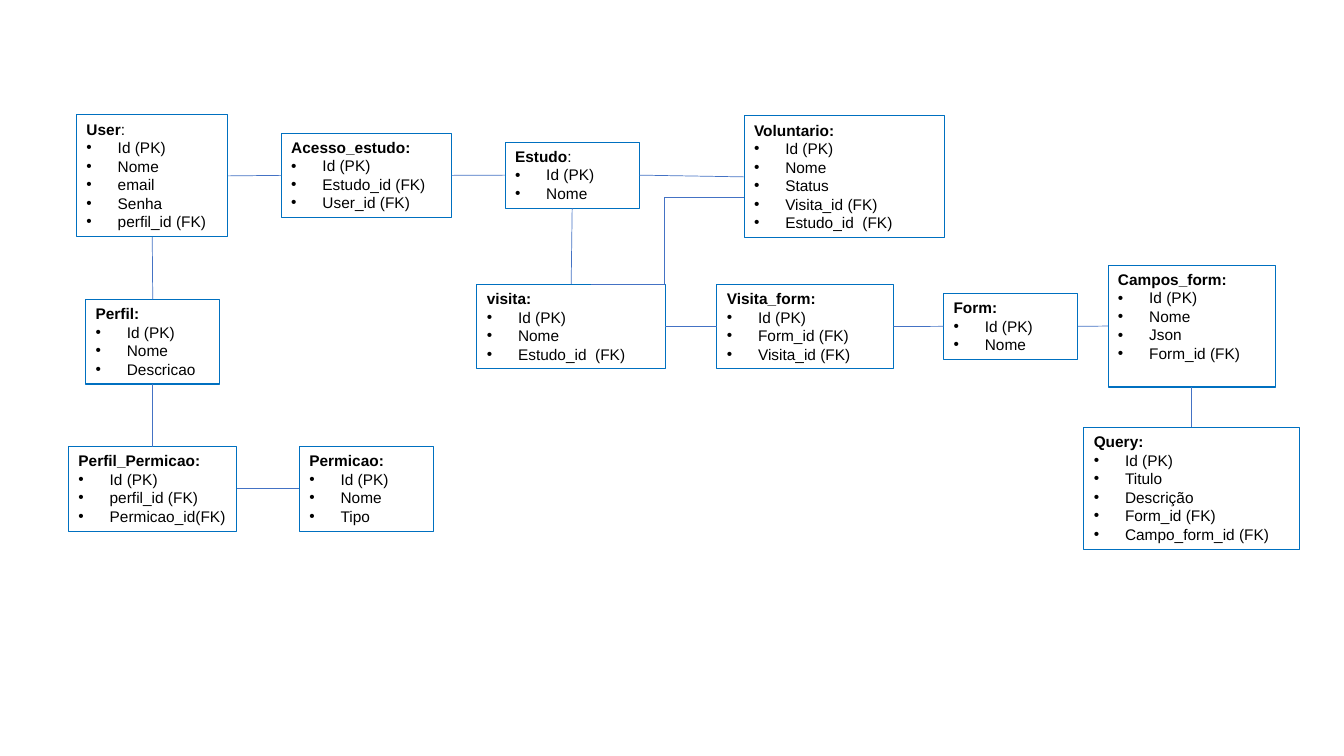
from lxml.etree import SubElement
from pptx import Presentation
from pptx.dml.color import RGBColor
from pptx.enum.shapes import MSO_CONNECTOR, MSO_SHAPE
from pptx.enum.text import MSO_ANCHOR, PP_ALIGN
from pptx.oxml.ns import qn
from pptx.util import Inches, Pt

COLORS = {"border": "0070C0", "link": "4472C4", "text": "000000"}
FONT = "Arial"
LINE_HEIGHT = 0.185
PADDING = 0.1
INDENT = 0.31
TOP, LEFT, BOTTOM, RIGHT = range(4)

ENTITIES = {
    "User": (0.76, 1.14, 1.5, ["Id (PK)", "Nome", "email", "Senha", "perfil_id (FK)"]),
    "Acesso_estudo": (2.79, 1.32, 1.69, ["Id (PK)", "Estudo_id (FK)", "User_id (FK)"]),
    "Estudo": (5.01, 1.41, 1.33, ["Id (PK)", "Nome"]),
    "visita": (4.73, 2.82, 1.87, ["Id (PK)", "Nome", "Estudo_id  (FK)"]),
    "Form": (9.36, 2.91, 1.33, ["Id (PK)", "Nome"]),
    "Perfil": (0.85, 2.97, 1.33, ["Id (PK)", "Nome", "Descricao"]),
    "Voluntario": (7.38, 1.15, 1.99,
                   ["Id (PK)", "Nome", "Status", "Visita_id (FK)", "Estudo_id  (FK)"]),
    "Visita_form": (7.11, 2.82, 1.75, ["Id (PK)", "Form_id (FK)", "Visita_id (FK)"]),
    "Query": (10.75, 4.24, 2.14,
              ["Id (PK)", "Titulo", "Descrição", "Form_id (FK)", "Campo_form_id (FK)"]),
    "Campos_form": (10.99, 2.63, 1.66, ["Id (PK)", "Nome", "Json", "Form_id (FK)"]),
    "Permicao": (2.97, 4.43, 1.33, ["Id (PK)", "Nome", "Tipo"]),
    "Perfil_Permicao": (0.68, 4.43, 1.67, ["Id (PK)", "perfil_id (FK)", "Permicao_id(FK)"]),
}
LIGHT_COLON = {"User", "Estudo"}
SPARE_LINES = {"Campos_form": 1}

RELATIONS = [
    ("User", RIGHT, "Acesso_estudo", LEFT),
    ("Acesso_estudo", RIGHT, "Estudo", LEFT),
    ("Estudo", RIGHT, "Voluntario", LEFT),
    ("Perfil", TOP, "User", BOTTOM),
    ("Perfil", BOTTOM, "Perfil_Permicao", TOP),
    ("Permicao", LEFT, "Perfil_Permicao", RIGHT),
    ("Estudo", BOTTOM, "visita", TOP),
    ("visita", RIGHT, "Visita_form", LEFT),
    ("Visita_form", RIGHT, "Form", LEFT),
    ("Form", RIGHT, "Campos_form", LEFT),
    ("Query", TOP, "Campos_form", BOTTOM),
]


def format_run(run, bold):
    """Apply the diagram's lettering to a run."""
    run.font.name = FONT
    run.font.size = Pt(11)
    run.font.bold = bold
    run.font.color.rgb = RGBColor.from_string(COLORS["text"])


def add_heading(paragraph, name):
    """Write the entity name, with a light colon where the entity has one."""
    paragraph.alignment = PP_ALIGN.LEFT
    pieces = [(name, True), (":", False)] if name in LIGHT_COLON else [(f"{name}:", True)]
    for text, bold in pieces:
        run = paragraph.add_run()
        run.text = text
        format_run(run, bold)


def add_field(frame, field):
    """Add one bulleted field to an entity."""
    paragraph = frame.add_paragraph()
    paragraph.text = field
    paragraph.alignment = PP_ALIGN.LEFT
    format_run(paragraph.runs[0], False)
    properties = paragraph._p.get_or_add_pPr()
    properties.set("marL", str(Inches(INDENT)))
    properties.set("indent", str(-Inches(INDENT)))
    SubElement(properties, qn("a:buFont"), typeface=FONT)
    SubElement(properties, qn("a:buChar"), char="•")


def add_entity(slide, name, left, top, width, fields):
    """Draw an entity box as tall as its lines and return it."""
    lines = 1 + len(fields) + SPARE_LINES.get(name, 0)
    height = PADDING + LINE_HEIGHT * lines
    entity = slide.shapes.add_shape(
        MSO_SHAPE.RECTANGLE, Inches(left), Inches(top), Inches(width), Inches(height))
    entity.shadow.inherit = False
    entity.fill.background()
    entity.line.color.rgb = RGBColor.from_string(COLORS["border"])
    entity.line.width = Pt(0.75)
    frame = entity.text_frame
    frame.word_wrap = True
    frame.vertical_anchor = MSO_ANCHOR.TOP
    add_heading(frame.paragraphs[0], name)
    for field in fields:
        add_field(frame, field)
    return entity


def add_link(slide, kind, start=(0, 0), end=(0, 0)):
    """Draw a thin connector without a shadow and return it."""
    points = [Inches(value) for value in (*start, *end)]
    link = slide.shapes.add_connector(kind, *points)
    link.line.color.rgb = RGBColor.from_string(COLORS["link"])
    link.line.width = Pt(0.5)
    SubElement(link._element.spPr, qn("a:effectLst"))
    return link


def add_relation(slide, source, source_side, target, target_side):
    """Glue a straight connector between the sides of two entities."""
    relation = add_link(slide, MSO_CONNECTOR.STRAIGHT)
    relation.begin_connect(source, source_side)
    relation.end_connect(target, target_side)


def add_bent_relation(slide, start, end, bend):
    """Draw an elbow connector that turns at a share of its width."""
    relation = add_link(slide, MSO_CONNECTOR.ELBOW, start, end)
    guides = relation._element.spPr.find(qn("a:prstGeom")).get_or_add_avLst()
    SubElement(guides, qn("a:gd"), name="adj1", fmla=f"val {round(bend * 100000)}")


def main():
    """Build the entity diagram and save it."""
    presentation = Presentation()
    presentation.slide_width = Inches(13.33)
    presentation.slide_height = Inches(7.5)
    slide = presentation.slides.add_slide(presentation.slide_layouts[6])
    entities = {name: add_entity(slide, name, *details) for name, details in ENTITIES.items()}
    for source, source_side, target, target_side in RELATIONS:
        add_relation(slide, entities[source], source_side, entities[target], target_side)
    add_bent_relation(slide, (5.86, 2.82), (7.38, 1.96), 0.48)
    presentation.save("out.pptx")


if __name__ == "__main__":
    main()
